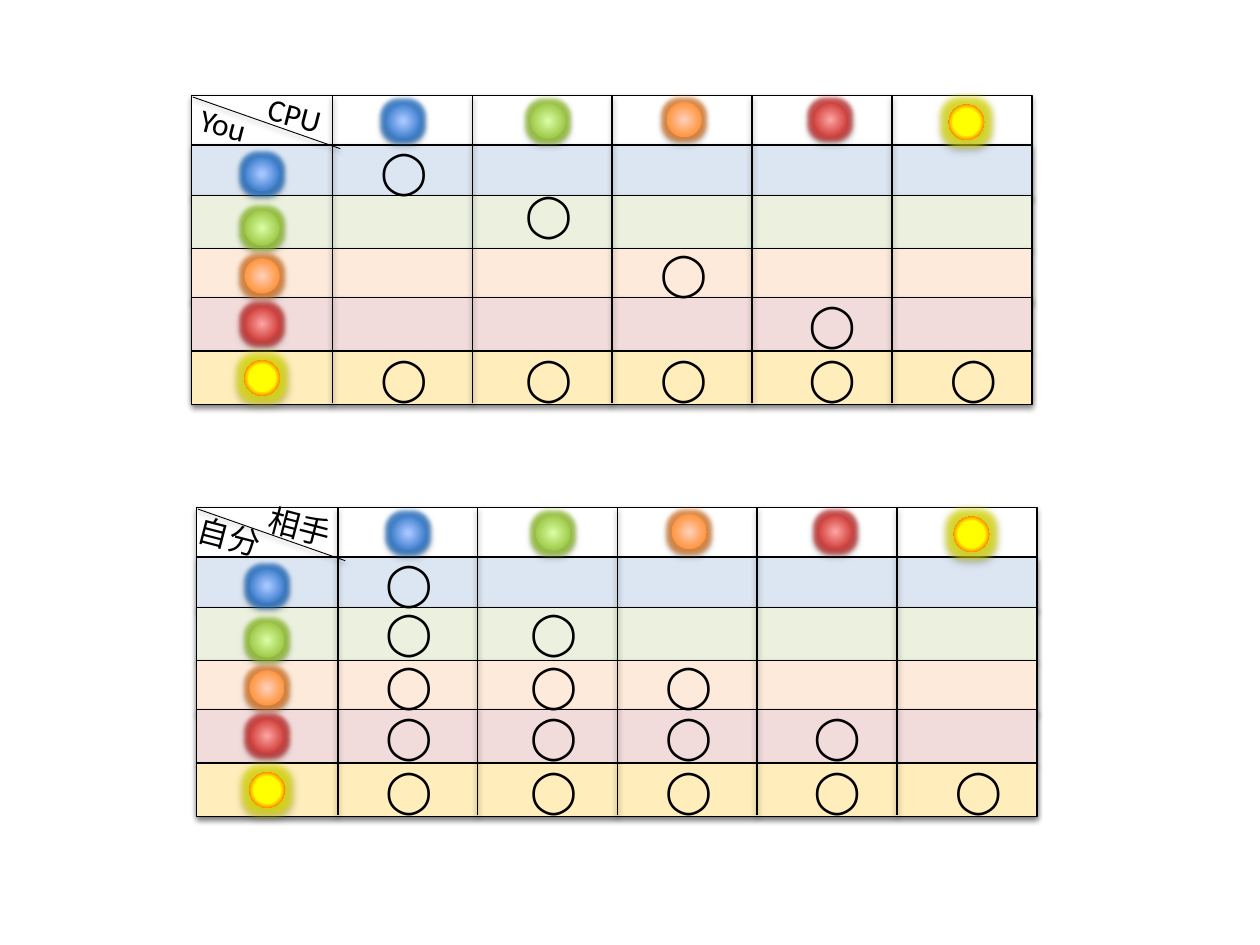
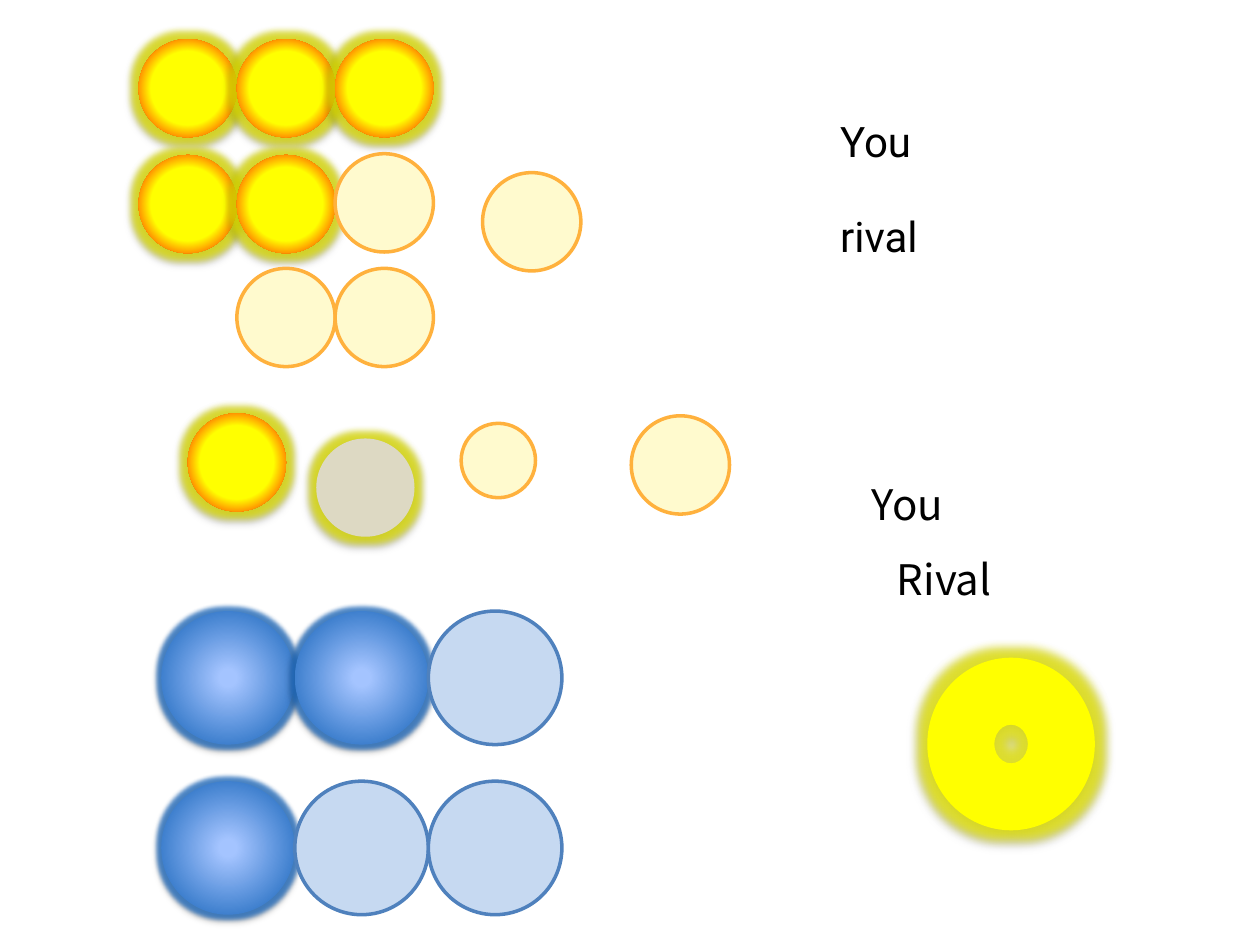
from lxml import etree
from pptx import Presentation
from pptx.dml.color import RGBColor
from pptx.enum.shapes import MSO_CONNECTOR, MSO_SHAPE
from pptx.enum.text import MSO_AUTO_SIZE
from pptx.oxml import parse_xml
from pptx.oxml.ns import nsdecls, qn
from pptx.util import Inches, Pt

RECT = MSO_SHAPE.RECTANGLE
OVAL = MSO_SHAPE.OVAL
DONUT = MSO_SHAPE.DONUT
STRAIGHT = MSO_CONNECTOR.STRAIGHT
FIT = MSO_AUTO_SIZE.SHAPE_TO_FIT_TEXT
rgb = RGBColor.from_string

SHADE = (35, 1.8)
LINE_SHADE = (38, 1.6)
BALLS = {
    "blue": {"stops": [(9, "A4C4FF"), (71, "3F80CE")], "glow": ("1F6BBF", 5), "shadow": SHADE},
    "green": {"stops": [(0, "DAFFA5"), (71, "A0CA4A")], "glow": ("8FBF2A", 5), "shadow": SHADE},
    "orange": {"stops": [(0, "FFD2BD"), (71, "FF953E")], "glow": ("D9782A", 5), "shadow": SHADE},
    "red": {"stops": [(0, "FFA6A5"), (70, "D1403C")], "glow": ("C02A2A", 5), "shadow": SHADE},
    "yellow": {"stops": [(53, "FFFF00"), (79, "FF6600")], "glow": ("DEDE00", 8), "shadow": SHADE},
}
EMPTY_BLUE = {"fill": "C6D9F1", "line": ("4F81BD", 2)}
EMPTY_YELLOW = {"fill": "FFFACE", "line": ("FFB13D", 2)}
GREY = {"fill": "DDD9C3", "glow": ("DEDE00", 8), "shadow": SHADE}
RING = {"fill": "FFFF00", "glow": ("E8E800", 11), "shadow": SHADE}
COLUMN_LINE = {"line": ("000000", 1), "shadow": LINE_SHADE}
DIAGONAL = {"line": ("000000", 0.5), "shadow": LINE_SHADE}


def draw(s, kind, box, look):
    lengths = [Inches(v) for v in box]
    if kind is STRAIGHT:
        sp = s.shapes.add_connector(kind, *lengths)
    else:
        sp = s.shapes.add_shape(kind, *lengths)
    spPr = sp._element.spPr
    if "fill" in look:
        sp.fill.solid()
        sp.fill.fore_color.rgb = rgb(look["fill"])
    if "stops" in look:
        sp.fill.background()
        stops = "".join(
            f'<a:gs pos="{pos * 1000}"><a:srgbClr val="{colour}"/></a:gs>'
            for pos, colour in look["stops"])
        spPr.replace(spPr.find(qn("a:noFill")), parse_xml(
            f'<a:gradFill {nsdecls("a")} rotWithShape="1"><a:gsLst>{stops}</a:gsLst>'
            '<a:path path="circle"><a:fillToRect l="50000" t="50000" r="50000" b="50000"/>'
            '</a:path></a:gradFill>'))
    if "line" in look:
        colour, width = look["line"]
        sp.line.color.rgb = rgb(colour)
        sp.line.width = Pt(width)
    else:
        sp.line.fill.background()
    effects = etree.SubElement(spPr, qn("a:effectLst"))
    if "glow" in look:
        colour, radius = look["glow"]
        effects.append(parse_xml(
            f'<a:glow {nsdecls("a")} rad="{Pt(radius)}"><a:srgbClr val="{colour}">'
            '<a:alpha val="75000"/></a:srgbClr></a:glow>'))
    if "shadow" in look:
        alpha, dist = look["shadow"]
        effects.append(parse_xml(
            f'<a:outerShdw {nsdecls("a")} blurRad="{Pt(3.1)}" dist="{Pt(dist)}" '
            'dir="5400000" rotWithShape="0"><a:srgbClr val="000000">'
            f'<a:alpha val="{alpha * 1000}"/></a:srgbClr></a:outerShdw>'))
    return sp


def write(s, text, box, size=24, font="Calibri", rotation=0):
    sp = s.shapes.add_textbox(*[Inches(v) for v in box])
    sp.rotation = rotation
    tf = sp.text_frame
    tf.word_wrap = False
    tf.auto_size = FIT
    r = tf.paragraphs[0].add_run()
    r.text = text
    for name, value in {"size": Pt(size), "name": font}.items():
        setattr(r.font, name, value)
    r.font.color.rgb = rgb("000000")


prs = Presentation()
prs.slide_width = Inches(10)
prs.slide_height = Inches(7.5)
blank = prs.slide_layouts[6]

s = prs.slides.add_slide(blank)
bands = [(0.39, "DCE6F2"), (0.79, "EBF1DE"), (1.21, "FDEADA"), (1.6, "F2DCDB"), (2.03, "FFEEBB")]
row_balls = [0.48, 0.91, 1.29, 1.67, 2.1]
column_balls = [(1.54, 0.06), (2.69, 0.06), (3.77, 0.05), (4.93, 0.05), (6.01, 0.07)]
mark_lefts = [1.4, 2.55, 3.62, 4.8, 5.92]
tables = [
    {"origin": (1.52, 0.76), "mark_tops": [0.34, 0.68, 1.15, 1.55, 1.98],
     "wins": [[0], [1], [2], [3], range(5)],
     "labels": [("CPU", 2.03, 0.71, 0.63), ("You", 1.49, 0.79, 0.59)]},
    {"origin": (1.56, 4.03), "mark_tops": [0.34, 0.73, 1.15, 1.55, 1.98],
     "wins": [range(n + 1) for n in range(5)],
     "labels": [("相手", 2.03, 3.98, 0.71), ("自分", 1.47, 4.06, 0.71)]},
]
for table in tables:
    x, y = table["origin"]
    for top, height, colour in [(0, 2.43, "FFFFFF")] + [(top, 0.42, c) for top, c in bands]:
        draw(s, RECT, (x, y + top, 6.67, height),
             {"fill": colour, "line": ("000000", 0.75), "shadow": SHADE})
    for i in range(5):
        left = x + 1.12 + 1.11 * i
        draw(s, STRAIGHT, (left, y, left, y + 2.44), COLUMN_LINE)
    for ball, top, (left, head_top) in zip(BALLS.values(), row_balls, column_balls):
        draw(s, OVAL, (x + 0.42, y + top, 0.28, 0.28), ball)
        draw(s, OVAL, (x + left, y + head_top, 0.28, 0.28), ball)
    for top, wins in zip(table["mark_tops"], table["wins"]):
        for column in wins:
            write(s, "◯", (x + mark_lefts[column], y + top, 0.54, 0.5))
    for text, left, top, width in table["labels"]:
        write(s, text, (left, top, width, 0.4), size=18, rotation=14.6)
    draw(s, STRAIGHT, (x + 0.01, y + 0.01, x + 1.18, y + 0.42), DIAGONAL)

s = prs.slides.add_slide(blank)
for top, filled in [(4.85, 2), (6.2, 1)]:
    for i in range(3):
        look = BALLS["blue"] if i < filled else EMPTY_BLUE
        draw(s, OVAL, (1.28 + 1.06 * i, top, 1.06, 1.06), look)

captions = [
    ("You", 6.57, 0.87, 0.84, "Roboto"),
    ("rival", 6.57, 1.62, 1.05, "Roboto"),
    ("You", 6.82, 3.75, 0.82, "Noto Sans CJK JP"),
    ("Rival", 7.02, 4.34, 1, "Noto Sans CJK JP"),
]
for text, left, top, width, font in captions:
    write(s, text, (left, top, width, 0.5), font=font)

for left, top in [(1.1, 0.31), (1.88, 0.31), (2.66, 0.31), (1.1, 1.23), (1.88, 1.23), (1.49, 3.28)]:
    draw(s, OVAL, (left, top, 0.78, 0.78), BALLS["yellow"])
for left, top, size in [(1.88, 2.13, 0.78), (2.66, 2.13, 0.78), (2.66, 1.22, 0.78),
                        (3.66, 3.36, 0.59), (5.01, 3.3, 0.78), (3.83, 1.37, 0.78)]:
    draw(s, OVAL, (left, top, size, size), EMPTY_YELLOW)
draw(s, OVAL, (2.51, 3.48, 0.78, 0.78), GREY)
sp = draw(s, DONUT, (7.36, 5.22, 1.33, 1.37), RING)
sp.adjustments[0] = 0.4

prs.save("out.pptx")
